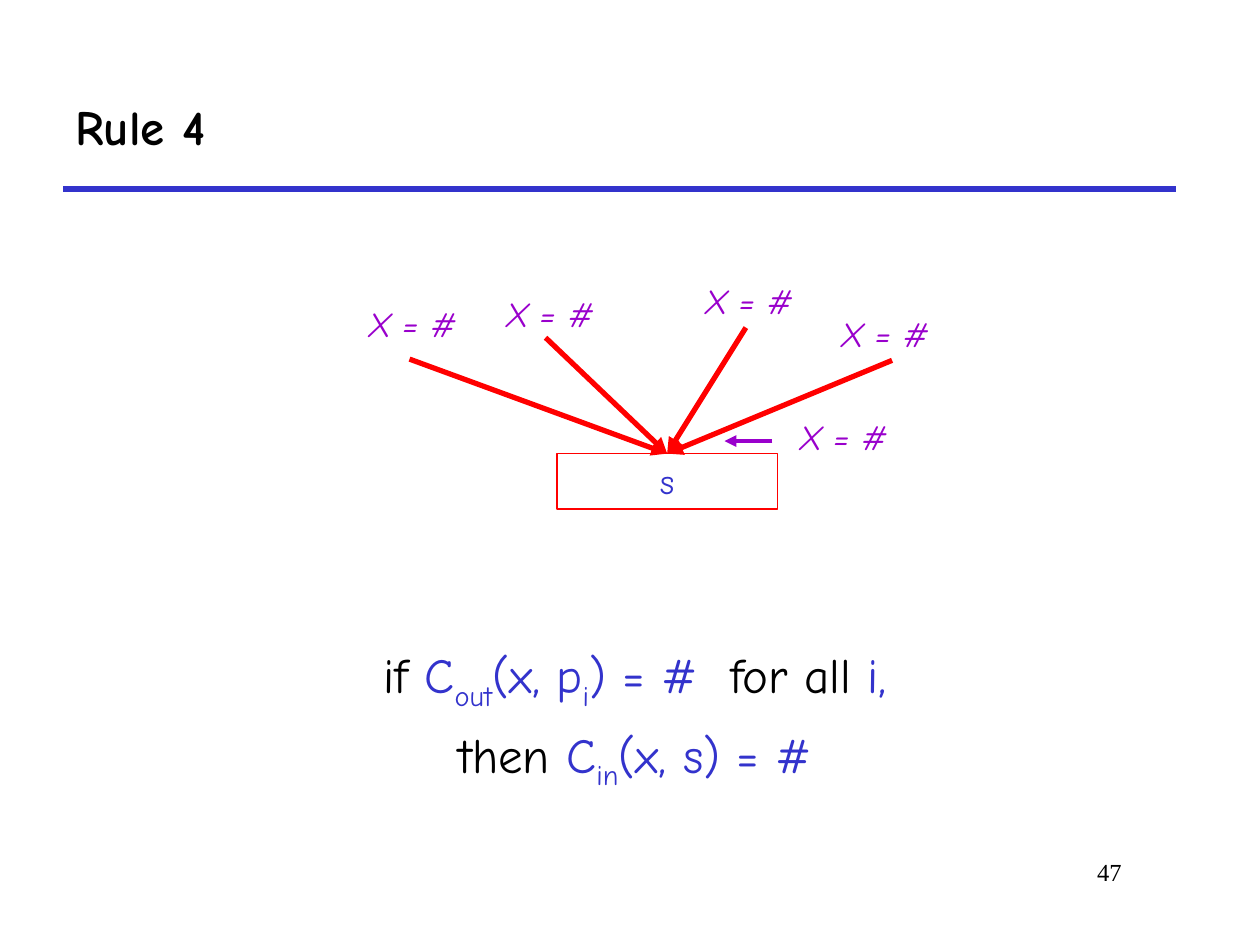
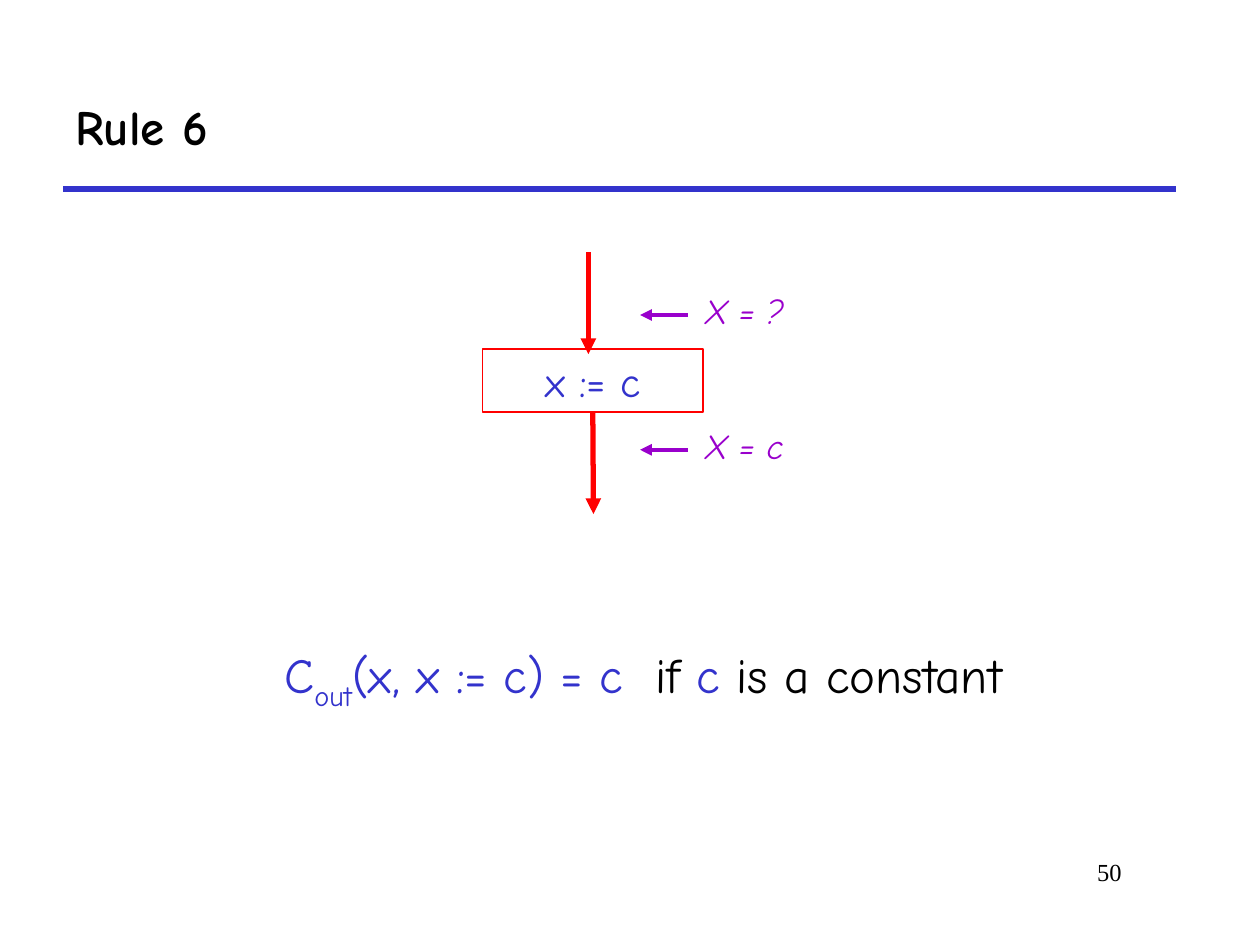
from lxml import etree
from pptx import Presentation
from pptx.dml.color import RGBColor
from pptx.enum.shapes import MSO_CONNECTOR as Line, MSO_SHAPE as Shape
from pptx.enum.text import MSO_ANCHOR as Anchor, PP_ALIGN as Align
from pptx.oxml.ns import qn
from pptx.util import Inches, Pt

BLACK, BLUE, RED, PURPLE = "000000", "3333CC", "FF0000", "9900CC"
FONT, PAGE_FONT = "Comic Neue", "Times New Roman"


def rgb(code):
    return RGBColor.from_string(code)


def write(par, text, size, color, font=FONT, bold=False, italic=False, sub=False):
    run = par.add_run()
    run.text = text
    run.font.name, run.font.size = font, Pt(size)
    run.font.bold, run.font.italic = bold, italic
    run.font.color.rgb = rgb(color)
    if sub:
        run.font._element.set("baseline", "-25000")


def frame(shapes, x, y, w, h, align=Align.LEFT, anchor=Anchor.TOP):
    """Add a wrapping text box and return its text frame."""
    text = shapes.add_textbox(Inches(x), Inches(y), Inches(w), Inches(h)).text_frame
    text.word_wrap = True
    text.vertical_anchor = anchor
    text.paragraphs[0].alignment = align
    return text


def stroke(shapes, start, end, color, width, arrow=True):
    """Draw a straight line, with an arrowhead at its end if wanted."""
    line = shapes.add_connector(Line.STRAIGHT, *map(Inches, start + end))
    line.line.color.rgb = rgb(color)
    line.line.width = Pt(width)
    if arrow:
        etree.SubElement(line.line._get_or_add_ln(), qn("a:tailEnd"), type="triangle")
    etree.SubElement(line._element.spPr, qn("a:effectLst"))
    return line


def base(deck, title, page):
    """Start a slide with its title, rule line and page number."""
    slide = deck.slides.add_slide(deck.slide_layouts[6])
    shapes = slide.shapes
    stroke(shapes, (0.5, 1.5), (9.33, 1.5), BLUE, 3, arrow=False)
    number = frame(shapes, 6.92, 6.75, 2.08, 0.5, Align.RIGHT)
    write(number.paragraphs[0], page, 14, BLACK, PAGE_FONT)
    head = frame(shapes, 0.5, 0.5, 8.83, 1, anchor=Anchor.MIDDLE)
    write(head.paragraphs[0], title, 28, BLACK, bold=True)
    return shapes


def node(shapes, x, y, h, text, size):
    """Add the outlined statement box."""
    box = shapes.add_shape(Shape.RECTANGLE, Inches(x), Inches(y), Inches(1.75), Inches(h))
    box.shadow.inherit = False
    box.fill.background()
    box.line.color.rgb = rgb(RED)
    box.line.width = Pt(0.75)
    box.text_frame.vertical_anchor = Anchor.TOP
    par = box.text_frame.paragraphs[0]
    par.alignment = Align.CENTER
    write(par, text, size, BLUE)
    return box


def label(shapes, x, y, text):
    write(frame(shapes, x, y, 1.33, 0.44).paragraphs[0], text, 20, PURPLE, italic=True)


def note(shapes, x, y, text, gap):
    """Add a label with a short arrow whose tip is at x, y."""
    group = shapes.add_group_shape().shapes
    label(group, x + 0.38 + gap, y - 0.25, text)
    stroke(group, (x + 0.38, y), (x, y), PURPLE, 2.25)


def formula(shapes, lines):
    """Write centred lines of (text, colour) runs; a third item marks a subscript."""
    text = frame(shapes, 0.5, 5.07, 9.08, 1.5, Align.CENTER)
    for i, runs in enumerate(lines):
        par = text.add_paragraph() if i else text.paragraphs[0]
        par.alignment = Align.CENTER
        if i:
            par.space_before = Pt(7)
        for words, color, *sub in runs:
            write(par, words, 28, color, sub=bool(sub))


def rule_four(deck):
    shapes = base(deck, "Rule 4", "47")
    formula(shapes, [
        [("if ", BLACK), ("C", BLUE), ("out", BLUE, True), ("(x, p", BLUE),
         ("i", BLUE, True), (") = # ", BLUE), (" for all ", BLACK), ("i,", BLUE)],
        [("then ", BLACK), ("C", BLUE), ("in", BLUE, True), ("(x, s) = #", BLUE)],
    ])
    box = node(shapes, 4.42, 3.6, 0.44, "s", 20)
    for start, spot in [((3.25, 2.85), (2.83, 2.35)), ((4.33, 2.68), (3.92, 2.27)),
                        ((5.92, 2.6), (5.5, 2.17)), ((7.08, 2.86), (6.58, 2.43))]:
        stroke(shapes, start, (5.29, 3.6), RED, 3).end_connect(box, 0)
        label(shapes, *spot, "X = #")
    note(shapes, 5.75, 3.5, "X = #", 0.12)


def rule_six(deck):
    shapes = base(deck, "Rule 6", "50")
    formula(shapes, [
        [(" ", BLACK), ("C", BLUE), ("out", BLUE, True), ("(x, x := c) = c ", BLUE),
         (" if ", BLACK), ("c", BLUE), (" is a constant", BLACK)],
    ])
    box = node(shapes, 3.83, 2.77, 0.5, "x := c", 24)
    stroke(shapes, (4.67, 2), (4.67, 2.81), RED, 3)
    stroke(shapes, (4.71, 3.27), (4.71, 4.08), RED, 3).begin_connect(box, 2)
    note(shapes, 5.08, 2.5, "X = ?", 0.04)
    note(shapes, 5.08, 3.57, "X = c", 0.04)


def main():
    deck = Presentation()
    deck.slide_width, deck.slide_height = Inches(10), Inches(7.5)
    rule_four(deck)
    rule_six(deck)
    deck.save("out.pptx")


if __name__ == "__main__":
    main()
